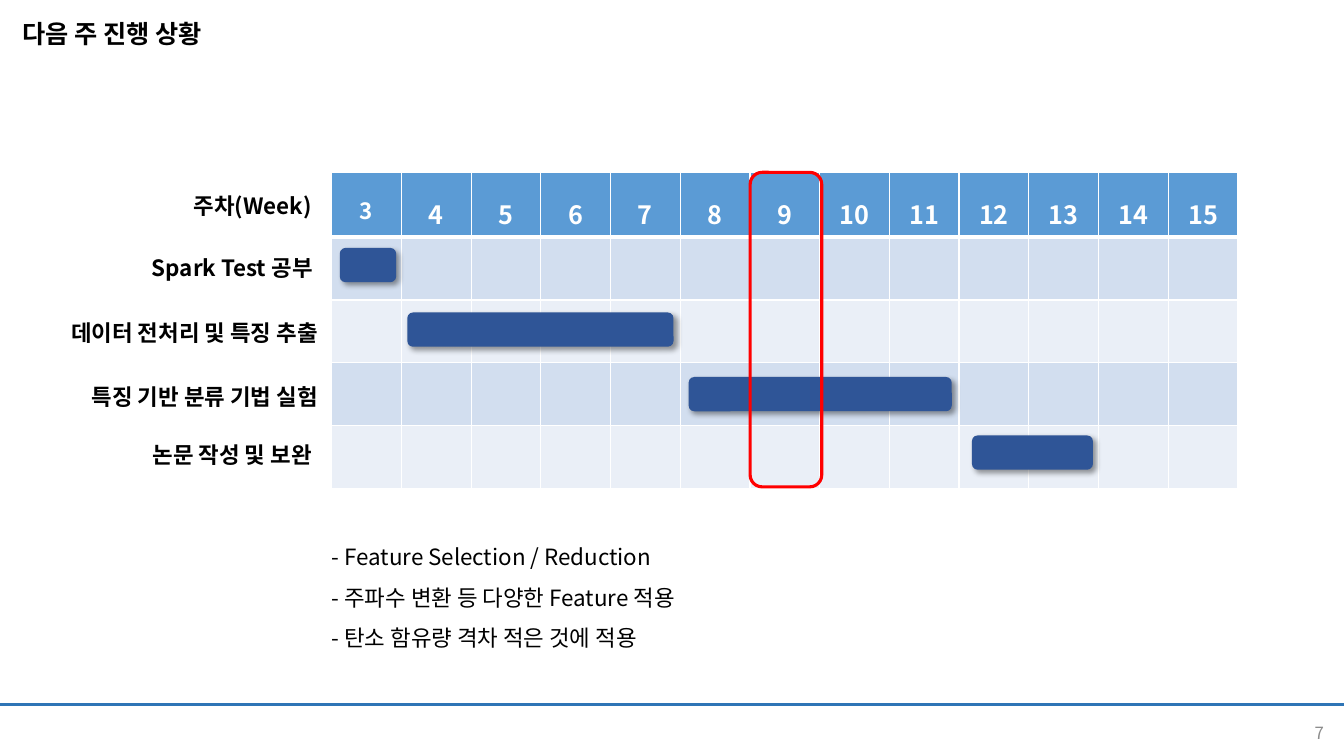
from lxml.etree import SubElement as Sub
from pptx import Presentation
from pptx.dml.color import RGBColor as Rgb
from pptx.enum.shapes import MSO_CONNECTOR as Conn, MSO_SHAPE as Form
from pptx.enum.text import MSO_ANCHOR as Anchor, MSO_AUTO_SIZE as Fit, PP_ALIGN as Align
from pptx.oxml import parse_xml
from pptx.oxml.ns import nsdecls, qn
from pptx.util import Inches, Pt

HUES = {
    "black": "000000", "white": "FFFFFF", "gray": "8C8C8C", "rule": "2E75B6",
    "head": "5B9BD5", "odd": "D2DEEF", "even": "EAEFF7", "bar": "2F5597", "mark": "FF0000",
}
FACE = "Noto Sans CJK KR"
WEEKS = range(3, 16)
ROWS = 5
LABELS = [
    ("주차(Week)", 3.19, 1.86),
    ("Spark Test 공부", 3.2, 2.47),
    ("데이터 전처리 및 특징 추출", 3.25, 3.12),
    ("특징 기반 분류 기법 실험", 3.25, 3.75),
    ("논문 작성 및 보완", 3.19, 4.33),
]
BARS = [(3.37, 2.46, 0.56), (4.04, 3.1, 2.64), (6.83, 3.74, 2.61), (9.64, 4.32, 1.2)]
NOTES = [
    "- Feature Selection / Reduction",
    "- 주파수 변환 등 다양한 Feature 적용",
    "- 탄소 함유량 격차 적은 것에 적용",
]


def hue(name):
    return Rgb.from_string(HUES[name])


def apply(item, **style):
    for key, value in style.items():
        setattr(item, key, value)


class Deck:
    def __init__(self):
        self.show = Presentation()
        apply(self.show, slide_width=Inches(13.33), slide_height=Inches(7.5))
        self.slide = self.show.slides.add_slide(self.show.slide_layouts[1])
        self.shapes = self.slide.shapes

    def letter(self, frame, lines, size, color="black", bold=False, align=Align.LEFT, space=1.0):
        frame.text = "\n".join(lines)
        for para in frame.paragraphs:
            props = para._p.get_or_add_pPr()
            apply(para, alignment=align, line_spacing=space, space_before=Pt(0))
            props.set("marL", "0")
            props.set("indent", "0")
            Sub(props, qn("a:buNone"))
            for run in para.runs:
                apply(run.font, name=FACE, size=Pt(size), bold=bold)
                run.font.color.rgb = hue(color)
                Sub(run._r.get_or_add_rPr(), qn("a:ea")).set("typeface", FACE)

    def fill(self, shape, lines, area, size, anchor=Anchor.TOP, **look):
        left, top, width, height = map(Inches, area)
        apply(shape, left=left, top=top, width=width, height=height)
        apply(shape.text_frame, word_wrap=True, auto_size=Fit.NONE, vertical_anchor=anchor)
        self.letter(shape.text_frame, lines, size, **look)

    def text(self, line, area, size, **look):
        box = self.shapes.add_textbox(*map(Inches, area))
        self.fill(box, [line], area, size, **look)

    def rule(self, top):
        line = self.shapes.add_connector(
            Conn.STRAIGHT, 0, Inches(top), self.show.slide_width, Inches(top))
        line.line.color.rgb = hue("rule")
        line.line.width = Pt(2.25)
        Sub(line._element.spPr, qn("a:effectLst"))

    def edge(self, cell, sides):
        props = cell._tc.get_or_add_tcPr()
        for spot, (side, width) in enumerate(sides.items()):
            props.insert(spot, parse_xml(
                f'<a:ln{side} {nsdecls("a")} w="{Pt(width)}"><a:solidFill>'
                f'<a:srgbClr val="{HUES["white"]}"/></a:solidFill></a:ln{side}>'))

    def grid(self, area):
        left, top, width, height = area
        table = self.shapes.add_table(ROWS, len(WEEKS), *map(Inches, area)).table
        for col in table.columns:
            col.width = Inches(width / len(WEEKS))
        for num, row in enumerate(table.rows):
            row.height = Inches(height / ROWS)
            for week, cell in zip(WEEKS, row.cells):
                cell.fill.solid()
                cell.fill.fore_color.rgb = hue("odd" if num % 2 else "even" if num else "head")
                self.edge(cell, {"L": 1, "R": 1, "T": 3 if num == 1 else 1, "B": 1 if num else 3})
                if num == 0:
                    self.letter(cell.text_frame, [str(week)], 16 if week == 3 else 18,
                                color="white", bold=True, align=Align.CENTER, space=1.5)

    def block(self, area):
        shape = self.shapes.add_shape(Form.ROUNDED_RECTANGLE, *map(Inches, area))
        shape.shadow.inherit = False
        return shape

    def bar(self, area):
        shape = self.block(area)
        shape.fill.solid()
        shape.fill.fore_color.rgb = hue("bar")
        shape.line.fill.background()
        glow = shape._element.spPr.find(qn("a:effectLst"))
        glow.append(parse_xml(
            f'<a:outerShdw {nsdecls("a")} blurRad="{Pt(4)}" dist="{Pt(3)}" dir="2700000" '
            f'algn="tl" rotWithShape="0"><a:srgbClr val="{HUES["black"]}">'
            '<a:alpha val="40000"/></a:srgbClr></a:outerShdw>'))

    def mark(self, area):
        shape = self.block(area)
        shape.fill.background()
        shape.line.color.rgb = hue("mark")
        shape.line.width = Pt(2.25)


def main():
    deck = Deck()
    title, body = deck.slide.placeholders
    deck.fill(title, ["다음 주 진행 상황"], (0.12, 0.13, 4.24, 0.4), 18, bold=True)
    deck.fill(body, NOTES, (3.19, 5.21, 7.99, 1.27), 16, space=1.5)
    deck.text("7", (12.78, 7.07, 0.45, 0.4), 12, color="gray", align=Align.RIGHT,
              anchor=Anchor.MIDDLE)
    deck.rule(6.99)
    deck.grid((3.29, 1.71, 8.99, 3.12))
    for label, right, top in LABELS:
        deck.text(label, (0.2, top, right - 0.2, 0.37), 16, bold=True, align=Align.RIGHT)
    for left, top, width in BARS:
        deck.bar((left, top, width, 0.34))
    deck.mark((7.44, 1.71, 0.71, 3.12))
    deck.show.save("out.pptx")


if __name__ == "__main__":
    main()
